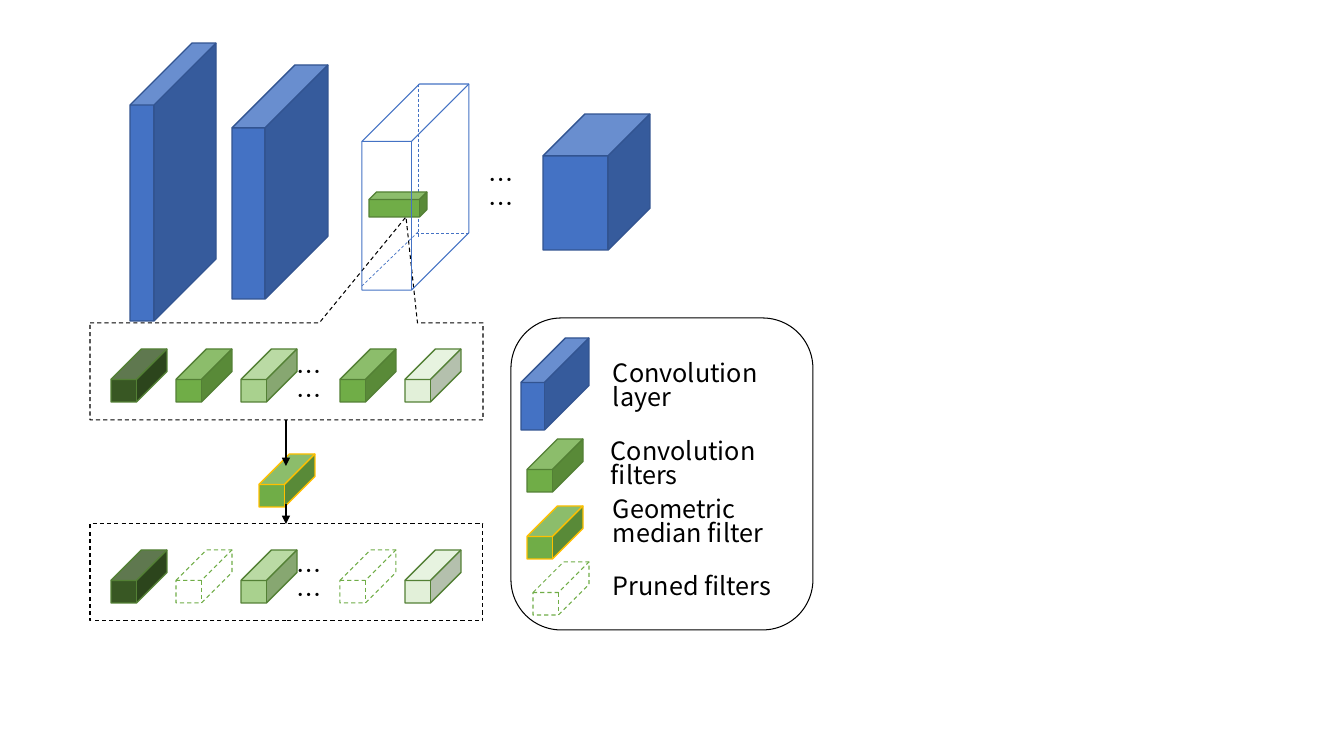
from dataclasses import dataclass
from pptx import Presentation
from pptx.dml.color import RGBColor
from pptx.enum.dml import MSO_LINE
from pptx.enum.shapes import MSO_CONNECTOR, MSO_SHAPE as Form
from pptx.enum.text import MSO_AUTO_SIZE as Fit
from pptx.oxml.ns import qn
from pptx.util import Pt
from lxml.etree import SubElement

EMU_PER_PIXEL = 914400 / 100.8


def px(length):
    return round(length * EMU_PER_PIXEL)


@dataclass(frozen=True)
class Theme:
    font: str = "Noto Sans CJK SC"
    text_size: int = 18
    line_spacing: float = 0.8
    ink: str = "000000"
    blue: str = "4472C4"
    blue_edge: str = "325491"
    green: str = "70AD47"
    green_edge: str = "538035"
    dark_green: str = "385723"
    light_green: str = "A9D18E"
    pale_green: str = "E2F0D9"
    gold: str = "FFC000"


class Diagram:
    filter_size = (56, 53)
    filter_depth = 0.576

    def __init__(self, slide, theme):
        self.slide = slide
        self.theme = theme

    def stroke(self, line, color, width, dashed):
        line.color.rgb = RGBColor.from_string(color)
        line.width = Pt(width)
        if dashed:
            line.dash_style = MSO_LINE.DASH

    def shape(self, form, box, fill=None, edge=None, width=0.75, dashed=False, adjust=()):
        shape = self.slide.shapes.add_shape(form, *map(px, box))
        shape.shadow.inherit = False
        if fill:
            shape.fill.solid()
            shape.fill.fore_color.rgb = RGBColor.from_string(fill)
        else:
            shape.fill.background()
        self.stroke(shape.line, edge or self.theme.ink, width, dashed)
        for index, value in enumerate(adjust):
            shape.adjustments[index] = value

    def layer(self, box, depth):
        self.shape(Form.CUBE, box, self.theme.blue, self.theme.blue_edge, 1, adjust=[depth])

    def filter(self, left, top, fill, edge=None):
        self.shape(Form.CUBE, (left, top, *self.filter_size), fill,
                   edge or self.theme.green_edge, 1, adjust=[self.filter_depth])

    def pruned_filter(self, left, top):
        self.shape(Form.CUBE, (left, top, *self.filter_size), None, self.theme.green,
                   dashed=True, adjust=[self.filter_depth])

    def filter_row(self, top, fills):
        for left, fill in zip((111, 176, 241, 340, 405), fills):
            if fill:
                self.filter(left, top, fill)
            else:
                self.pruned_filter(left, top)

    def line(self, start, end, color, width, dashed=False, arrow=False):
        line = self.slide.shapes.add_connector(
            MSO_CONNECTOR.STRAIGHT, *map(px, (*start, *end)))
        self.stroke(line.line, color, width, dashed)
        properties = line._element.spPr
        if arrow:
            SubElement(properties.find(qn("a:ln")), qn("a:tailEnd"), type="triangle")
        SubElement(properties, qn("a:effectLst"))

    def hidden_edge(self, start, end):
        self.line(start, end, self.theme.blue, 0.5, dashed=True)

    def arrow(self, start, end):
        self.line(start, end, self.theme.ink, 1, arrow=True)

    def text(self, box, words):
        frame = self.slide.shapes.add_textbox(*map(px, box)).text_frame
        frame.word_wrap = True
        frame.auto_size = Fit.SHAPE_TO_FIT_TEXT
        paragraph = frame.paragraphs[0]
        paragraph.text = words
        paragraph.line_spacing = self.theme.line_spacing
        paragraph.font.name = self.theme.font
        paragraph.font.size = Pt(self.theme.text_size)
        paragraph.font.color.rgb = RGBColor.from_string(self.theme.ink)
        for run in paragraph.runs:
            SubElement(run._r.get_or_add_rPr(), qn("a:ea"), typeface=self.theme.font)

    def ellipsis(self, left, top):
        self.text((left, top, 47, 33), "……")


presentation = Presentation()
presentation.slide_width, presentation.slide_height = px(1344), px(756)
theme = Theme()
diagram = Diagram(presentation.slides.add_slide(presentation.slide_layouts[6]), theme)

diagram.hidden_edge((418, 84), (418, 237))
diagram.shape(Form.CUBE, (369, 192, 58, 25), theme.green, theme.green_edge, 1, adjust=[0.304])
diagram.ellipsis(479, 165)
diagram.shape(Form.RECTANGULAR_CALLOUT, (90, 323, 393, 97), dashed=True, adjust=[0.304, -1.594])
for box, depth in (((130, 43, 86, 278), 0.721),
                   ((232, 65, 96, 234), 0.655),
                   ((543, 114, 107, 136), 0.391)):
    diagram.layer(box, depth)
diagram.shape(Form.CUBE, (362, 84, 107, 206), None, theme.blue, adjust=[0.536])
diagram.hidden_edge((469, 233), (415, 233))
diagram.hidden_edge((418, 232), (362, 286))

diagram.filter_row(349, (theme.dark_green, theme.green, theme.light_green,
                         theme.green, theme.pale_green))
diagram.ellipsis(287, 357)

diagram.shape(Form.RECTANGLE, (90, 524, 393, 97), dashed=True)
diagram.filter_row(550, (theme.dark_green, None, theme.light_green, None, theme.pale_green))
diagram.ellipsis(287, 556)

diagram.filter(259, 454, theme.green, theme.gold)
diagram.arrow((286, 420), (286, 466))
diagram.arrow((286, 504), (286, 524))

diagram.shape(Form.ROUNDED_RECTANGLE, (511, 318, 302, 312))
diagram.layer((521, 338, 68, 92), 0.655)
diagram.filter(527, 439, theme.green)
diagram.filter(527, 506, theme.green, theme.gold)
diagram.pruned_filter(533, 562)
for left, top, meaning in ((603, 358, "Convolution layer"),
                           (601, 436, "Convolution filters"),
                           (603, 494, "Geometric median filter"),
                           (603, 571, "Pruned filters")):
    diagram.text((left, top, 221, 33), meaning)

presentation.save("out.pptx")
